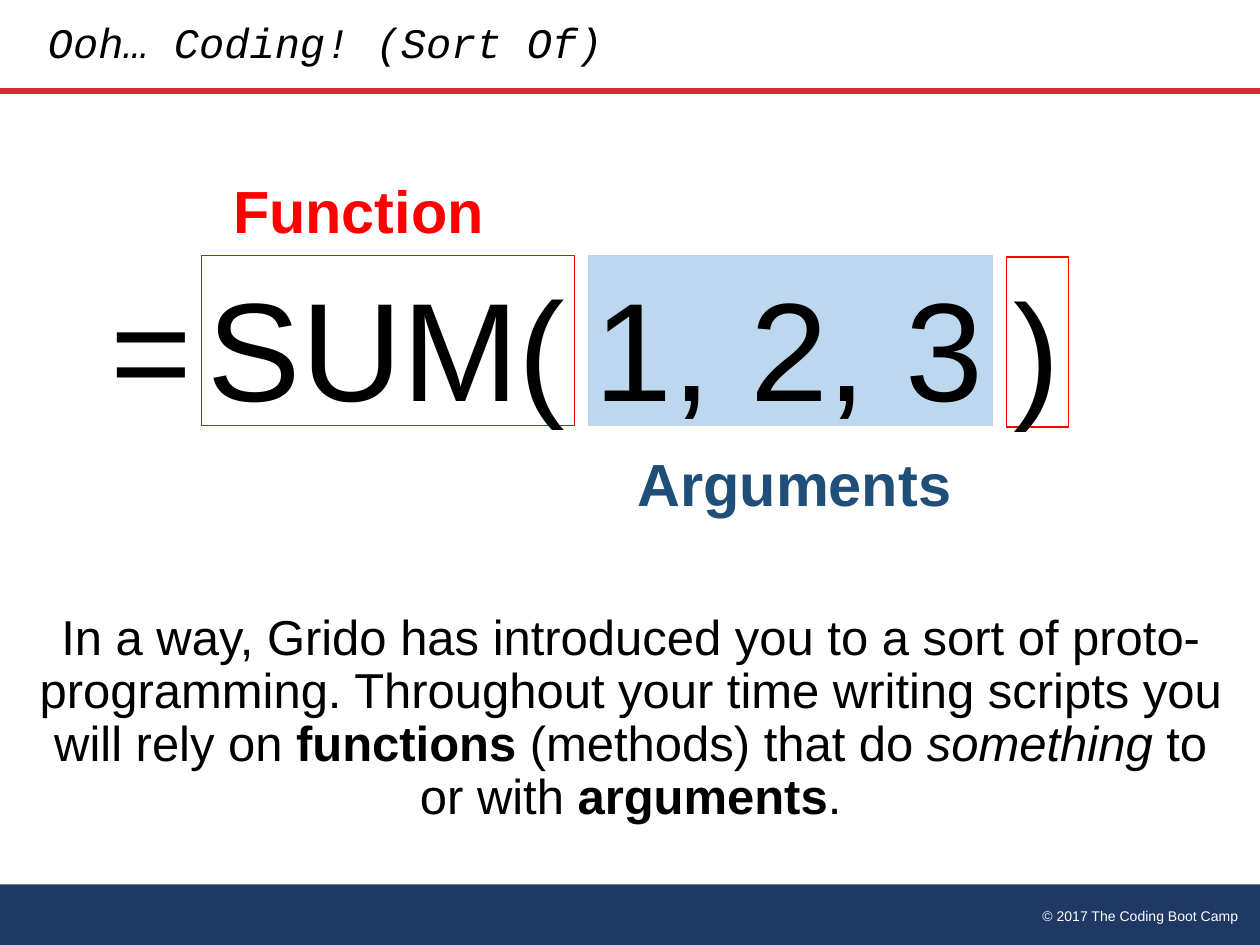
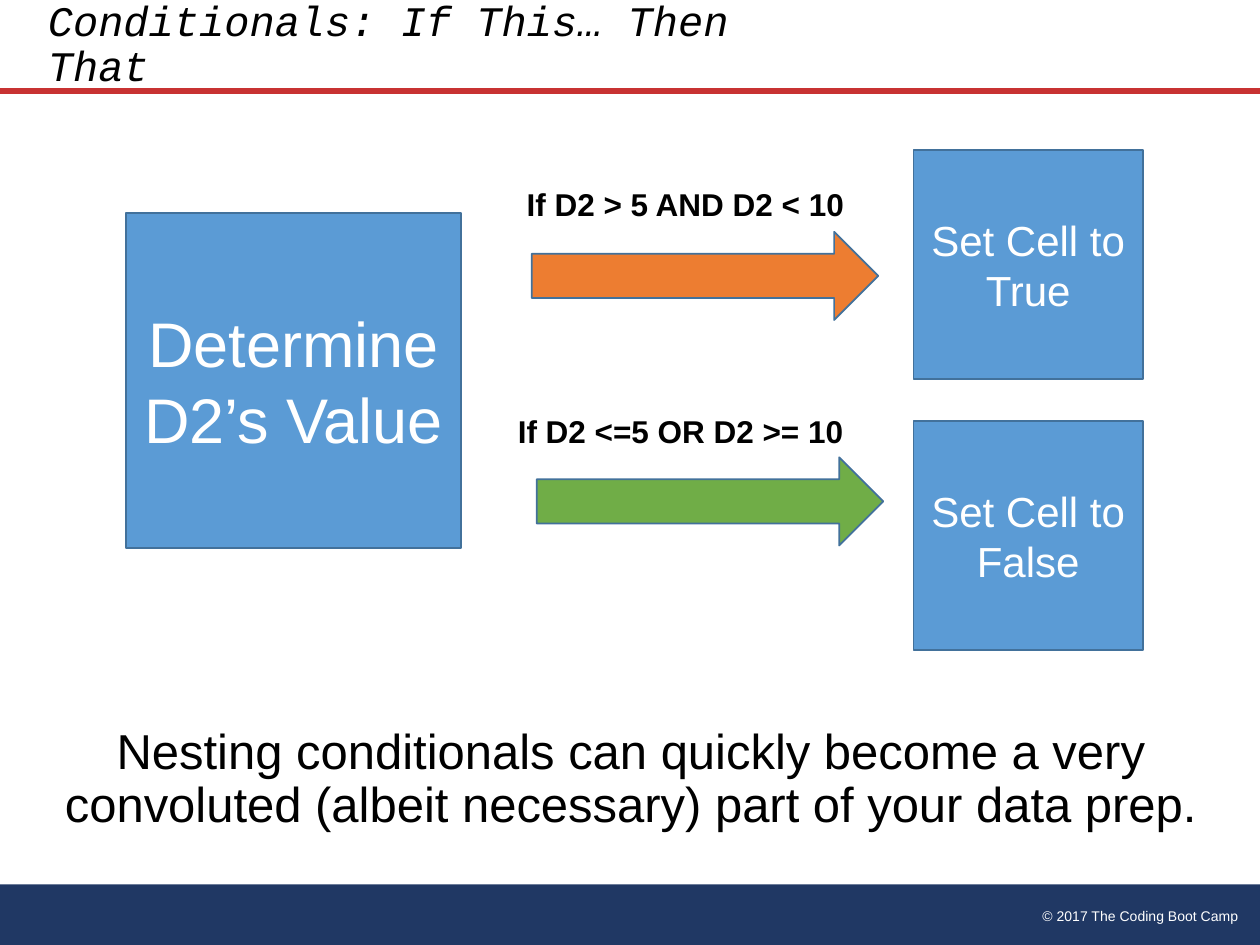
from pptx import Presentation
from pptx.dml.color import RGBColor
from pptx.enum.shapes import MSO_CONNECTOR as CONN, MSO_SHAPE as SHAPE
from pptx.enum.text import MSO_ANCHOR as ANCHOR, MSO_AUTO_SIZE as FIT, PP_ALIGN as ALIGN
from pptx.oxml.ns import qn
from pptx.util import Emu, Pt

# Shared style
SCALE = 9144  # EMU per px, 100 px to the inch
BLACK, WHITE, RED = "000000", "FFFFFF", "FF0000"
NAVY, CRIMSON, DEEP_BLUE = "203864", "C83232", "1F4E79"
PALE, BLUE, EDGE = "BDD7EE", "5B9BD5", "42719B"
ORANGE, GREEN = "ED7D31", "70AD47"


def px(n):
    return Emu(n * SCALE)


def rgb(value):
    return RGBColor.from_string(value)


class Deck:
    """Holds the style and the current slide."""
    font, title_font, inset = "Arial", "Courier New", 5

    def __init__(self):
        self.prs = Presentation()
        self.prs.slide_width, self.prs.slide_height = px(1000), px(750)
        self.s = None

    def fill_text(self, sp, runs, size, color=BLACK, align=ALIGN.LEFT, anchor=ANCHOR.TOP,
                  wrap=True, fit=FIT.NONE, spacing=None, font=None):
        """Fill one paragraph with (text, style) runs; style holds b and/or i."""
        tf = sp.text_frame
        tf.word_wrap, tf.auto_size, tf.vertical_anchor = wrap, fit, anchor
        tf.margin_left = tf.margin_right = px(self.inset)
        tf.margin_top = tf.margin_bottom = px(self.inset)
        p = tf.paragraphs[0]
        p.alignment = align
        if spacing:
            p.line_spacing, p.space_before = spacing, Pt(0)
        for text, style in runs:
            r = p.add_run()
            r.text = text
            r.font.name, r.font.size = font or self.font, Pt(size)
            r.font.color.rgb = rgb(color)
            r.font.bold, r.font.italic = "b" in style, "i" in style
        return p

    def place(self, sp, x, y, w, h):
        sp.left, sp.top, sp.width, sp.height = map(px, (x, y, w, h))

    def shape(self, kind, x, y, w, h, fill=None, line=None, width=1):
        sp = self.s.shapes.add_shape(kind, *map(px, (x, y, w, h)))
        sp.shadow.inherit = False
        if fill:
            sp.fill.solid()
            sp.fill.fore_color.rgb = rgb(fill)
        else:
            sp.fill.background()
        if line:
            sp.line.color.rgb = rgb(line)
            sp.line.width = Pt(width)
        else:
            sp.line.fill.background()
        return sp

    def label(self, text, x, y, w, h, size, color=BLACK, style="", **kw):
        sp = self.s.shapes.add_textbox(*map(px, (x, y, w, h)))
        kw = {"wrap": False, "fit": FIT.SHAPE_TO_FIT_TEXT, **kw}
        self.fill_text(sp, [(text, style)], size, color, **kw)

    def rule(self, y, color, width):
        ln = self.s.shapes.add_connector(CONN.STRAIGHT, px(0), px(y), px(1000), px(y))
        ln.line.color.rgb = rgb(color)
        ln.line.width = Pt(width)
        pr = ln._element.spPr
        pr.append(pr.makeelement(qn("a:effectLst"), {}))

    def slide(self, title):
        """Start a slide with its footer band, title rule and title."""
        self.s = self.prs.slides.add_slide(self.prs.slide_layouts[1])
        self.shape(SHAPE.RECTANGLE, 0, 702, 1001, 50, NAVY)
        self.label("© 2017 The Coding Boot Camp", 683, 715, 305, 22, 8, WHITE,
                   align=ALIGN.RIGHT, wrap=True)
        self.rule(72, CRIMSON, 3.25)
        sp = self.s.shapes.title
        self.place(sp, 33, 0, 598, 72)
        self.fill_text(sp, [(title, "i")], 24, anchor=ANCHOR.MIDDLE, spacing=0.9,
                       font=self.title_font)

    def body(self, runs, y, h):
        sp = self.s.placeholders[1]
        self.place(sp, 17, y, 967, h)
        p = self.fill_text(sp, runs, 28, align=ALIGN.CENTER, anchor=ANCHOR.MIDDLE,
                           spacing=0.9)
        pr = p._p.get_or_add_pPr()
        pr.set("marL", "0")
        pr.set("indent", "0")
        pr.append(pr.makeelement(qn("a:buNone"), {}))

    def term(self, text, x, y, w, line, fill=None):
        """One boxed part of the formula."""
        sp = self.shape(SHAPE.RECTANGLE, x, y, w, 135, fill, line, 0.75)
        self.fill_text(sp, [(text, "")], 80, wrap=False, fit=FIT.SHAPE_TO_FIT_TEXT)

    def step(self, text, x, y, side, size):
        """One square step of the flow."""
        sp = self.shape(SHAPE.RECTANGLE, x, y, side, side, BLUE, EDGE)
        self.fill_text(sp, [(text, "")], size, WHITE, ALIGN.CENTER, ANCHOR.MIDDLE)

    def arrow(self, x, y, fill):
        self.shape(SHAPE.RIGHT_ARROW, x, y, 275, 70, fill, EDGE)


def formula_slide(d):
    d.slide("Ooh… Coding! (Sort Of)")
    # Formula and its named parts
    d.label("=", 83, 203, 76, 134, 80)
    d.term("SUM(", 160, 203, 296, RED)
    d.term("1, 2, 3", 467, 203, 321, PALE, PALE)
    d.term(")", 799, 204, 49, RED)
    d.label("Function", 180, 133, 211, 63, 34, RED, "b")
    d.label("Arguments", 501, 350, 261, 63, 34, DEEP_BLUE, "b")
    # Explanation
    d.body([("In a way, Grido has introduced you to a sort of proto-programming. "
             "Throughout your time writing scripts you will rely on ", ""),
            ("functions", "b"), (" (methods) that do ", ""), ("something ", "i"),
            ("to or with ", ""), ("arguments", "b"), (".", "")], 467, 208)


def conditionals_slide(d):
    d.slide("Conditionals: If This… Then That")
    # Decision and its two outcomes
    d.step("Determine D2’s Value", 100, 169, 266, 36)
    for result, y in (("True", 119), ("False", 334)):
        d.step(f"Set Cell to {result}", 725, y, 182, 24)
    # Branches
    d.arrow(422, 184, ORANGE)
    d.arrow(426, 363, GREEN)
    d.label("If D2 > 5 AND D2 < 10", 413, 142, 263, 38, 18, style="b")
    d.label("If D2 <=5 OR D2 >= 10", 406, 322, 277, 38, 18, style="b")
    # Remark
    d.body([("Nesting conditionals can quickly become a very convoluted "
             "(albeit necessary) part of your data prep.", "")], 573, 93)


def main():
    d = Deck()
    formula_slide(d)
    conditionals_slide(d)
    d.prs.save("out.pptx")


if __name__ == "__main__":
    main()
